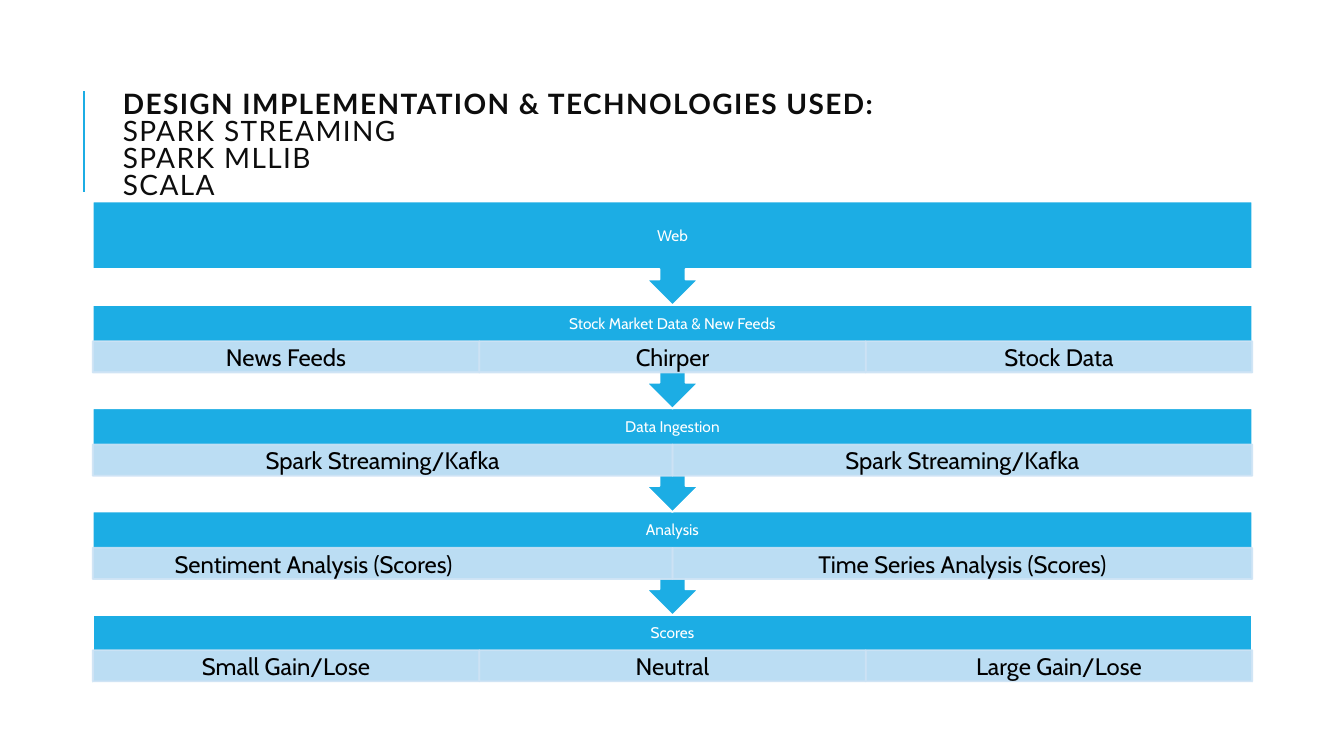
from lxml.etree import SubElement
from pptx import Presentation
from pptx.dml.color import RGBColor
from pptx.enum.shapes import MSO_CONNECTOR as Connector, MSO_SHAPE as Shape
from pptx.enum.text import MSO_ANCHOR as Anchor, PP_ALIGN as Align
from pptx.oxml.ns import qn
from pptx.util import Inches, Pt

COLORS = {"blue": "1CADE4", "pale": "CDE3F5", "white": "FFFFFF",
          "black": "000000", "ink": "0D0D0D"}
LEFT, TOP, WIDTH, PITCH = 0.92, 2.0, 11.5, 1.025
BOX_HEIGHT, CALLOUT_HEIGHT, CELL_HEIGHT = 0.67, 1.03, 0.31
TITLE = ["DESIGN IMPLEMENTATION & TECHNOLOGIES USED:",
         "SPARK STREAMING", "SPARK MLLIB", "SCALA"]
STAGES = [
    ("Web", []),
    ("Stock Market Data & New Feeds", ["News Feeds", "Chirper", "Stock Data"]),
    ("Data Ingestion", ["Spark Streaming/Kafka", "Spark Streaming/Kafka"]),
    ("Analysis", ["Sentiment Analysis (Scores)", "Time Series Analysis (Scores)"]),
    ("Scores", ["Small Gain/Lose", "Neutral", "Large Gain/Lose"]),
]


def style_font(font, name, size, color):
    """Set the typeface, point size and named colour of a font."""
    font.name, font.size = name, Pt(size)
    font.color.rgb = RGBColor.from_string(COLORS[color])


def add_block(kind, bounds, text, size, colors, margins, opacity=100):
    """Add a filled shape with centred text; colors are fill, line, text."""
    block = slide.shapes.add_shape(kind, *map(Inches, bounds))
    block.shadow.inherit = False
    block.fill.solid()
    block.line.width = Pt(1.25)
    for paint, color in ((block.fill.fore_color, colors[0]),
                         (block.line.color, colors[1])):
        paint.rgb = RGBColor.from_string(COLORS[color])
    if opacity < 100:
        for element in block._element.spPr.iter(qn("a:srgbClr")):
            SubElement(element, qn("a:alpha"), val=str(opacity * 1000))
    frame = block.text_frame
    frame.word_wrap, frame.vertical_anchor = True, Anchor.MIDDLE
    (frame.margin_left, frame.margin_top,
     frame.margin_right, frame.margin_bottom) = map(Inches, margins)
    para = frame.paragraphs[0]
    para.text, para.alignment = text, Align.CENTER
    style_font(para.font, "Cabin", size, colors[2])


deck = Presentation()
deck.slide_width, deck.slide_height = Inches(13.33), Inches(7.5)
slide = deck.slides.add_slide(deck.slide_layouts[6])

# Title with its accent line
accent = slide.shapes.add_connector(
    Connector.STRAIGHT, Inches(0.83), Inches(1.9), Inches(0.83), Inches(0.9))
accent.line.color.rgb = RGBColor.from_string(COLORS["blue"])
accent.line.width = Pt(1.5)
SubElement(accent._element.spPr, qn("a:effectLst"))

title = slide.shapes.add_textbox(*map(Inches, (1.12, 0.64, 10.63, 1.64)))
frame = title.text_frame
frame.word_wrap, frame.vertical_anchor = True, Anchor.MIDDLE
for index, line in enumerate(TITLE):
    para = frame.add_paragraph() if index else frame.paragraphs[0]
    para.line_spacing = 0.8
    style_font(para.font, "Lato", 20, "ink")
    para.font.bold = index == 0
    span = para.add_run()
    span.text = line
    span.font._element.set("spc", "100")

# Stages, from the bottom up so that each arrow lies over the next stage
last = len(STAGES) - 1
for index, (heading, cells) in reversed(list(enumerate(STAGES))):
    top = TOP + index * PITCH
    kind, height, header = Shape.DOWN_ARROW_CALLOUT, CALLOUT_HEIGHT, 0.36
    if index == last:
        kind, height, header = Shape.RECTANGLE, BOX_HEIGHT, 0.35
    below_heading = BOX_HEIGHT - header if cells else 0
    add_block(kind, (LEFT, top, WIDTH, height), heading, 11,
              ("blue", "white", "white"), (0.09, 0.09, 0.09, 0.09 + below_heading))
    for column, text in enumerate(cells):
        cell_width = WIDTH / len(cells)
        # The sentiment label sits left of its cell's centre
        right_margin = 1.5 if text.startswith("Sentiment") else 0.13
        add_block(Shape.RECTANGLE,
                  (LEFT + column * cell_width, top + header, cell_width, CELL_HEIGHT),
                  text, 17, ("pale", "pale", "black"),
                  (0.13, 0.02, right_margin, 0.02), opacity=90)

deck.save("out.pptx")
